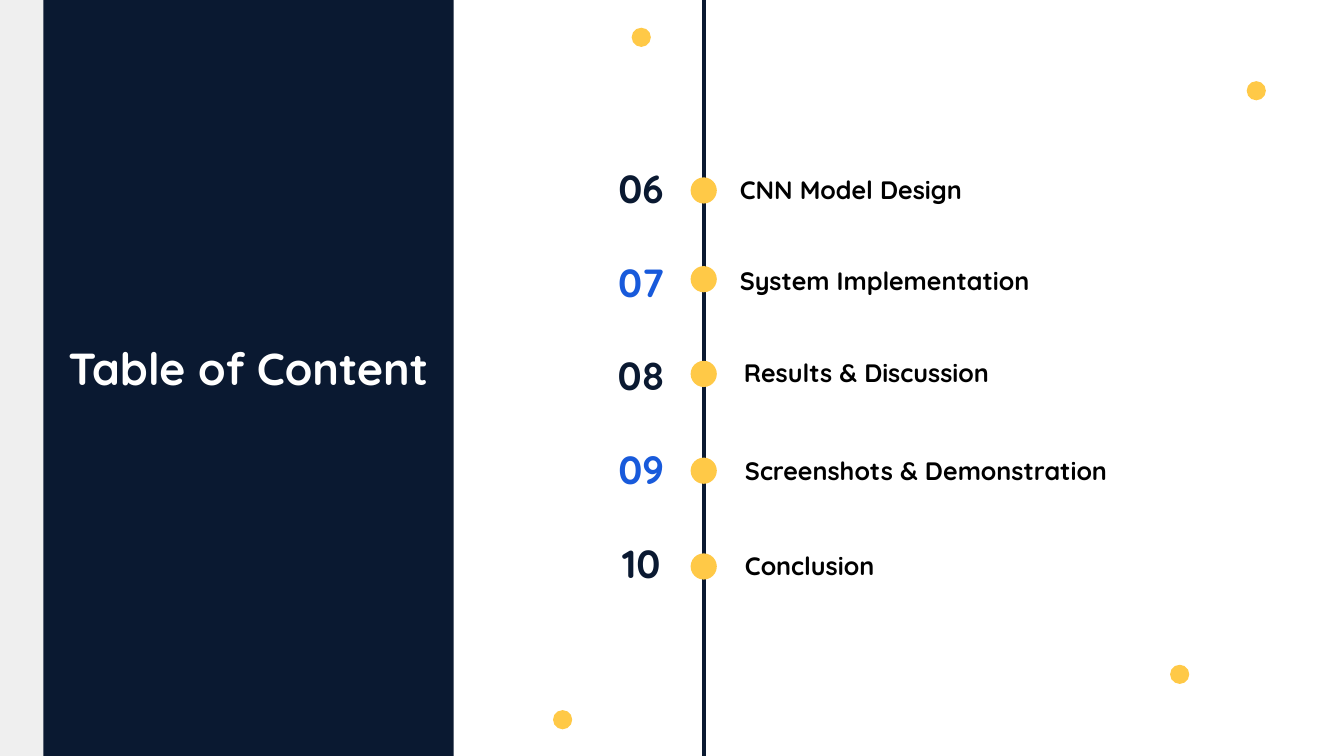
import pptx
import pptx.util
import pptx.dml.color
import pptx.enum.shapes
import pptx.enum.text
import pptx.oxml.ns
import lxml.etree

Inches = pptx.util.Inches
ALIGN = pptx.enum.text.PP_ALIGN
NAVY, BLUE, YELLOW = "0A1931", "185ADB", "FFC947"
GRAY, WHITE, BLACK = "EFEFEF", "FFFFFF", "000000"
LINE_X = 6.98
FIRST_NUMBER_TOP, NUMBER_PITCH = 1.58, 0.93

ENTRIES = [
    ("CNN Model Design", 1.89, 7.24, 1.68, 3.47),
    ("System Implementation", 2.77, 7.24, 2.58, 3.47),
    ("Results & Discussion", 3.71, 7.28, 3.5, 3.47),
    ("Screenshots & Demonstration", 4.67, 7.29, 4.47, 4.69),
    ("Conclusion", 5.62, 7.29, 5.41, 4.82),
]
SMALL_DOTS = [(5.58, 7.14), (11.7, 6.69), (12.46, 0.9), (6.36, 0.37)]


def rgb(color):
    return pptx.dml.color.RGBColor.from_string(color)


def add_filled(s, kind, x, y, w, h, color):
    sp = s.shapes.add_shape(kind, Inches(x), Inches(y), Inches(w), Inches(h))
    sp.shadow.inherit = False
    sp.fill.solid()
    sp.fill.fore_color.rgb = rgb(color)
    sp.line.fill.background()


def add_panel(s, width, color):
    add_filled(s, pptx.enum.shapes.MSO_SHAPE.RECTANGLE, 0, 0, width, 7.5, color)


def add_dot(s, cx, cy, size):
    add_filled(s, pptx.enum.shapes.MSO_SHAPE.OVAL,
               cx - size / 2, cy - size / 2, size, size, YELLOW)


def add_timeline(s):
    line = s.shapes.add_connector(
        pptx.enum.shapes.MSO_CONNECTOR.STRAIGHT,
        Inches(LINE_X), Inches(0), Inches(LINE_X), Inches(7.5))
    line.line.color.rgb = rgb(NAVY)
    line.line.width = pptx.util.Pt(3)
    lxml.etree.SubElement(line.element.spPr, pptx.oxml.ns.qn("a:effectLst"))


def set_text(sp, text, size, color, align, wrap=True):
    tf = sp.text_frame
    tf.text = text
    tf.word_wrap = wrap
    tf.auto_size = pptx.enum.text.MSO_AUTO_SIZE.SHAPE_TO_FIT_TEXT
    tf.vertical_anchor = pptx.enum.text.MSO_ANCHOR.TOP
    p = tf.paragraphs[0]
    p.alignment = align
    p.font.name = "Quicksand"
    p.font.size = pptx.util.Pt(size)
    p.font.bold = True
    p.font.color.rgb = rgb(color)


def add_text(s, text, x, y, w, h, size, color, align):
    sp = s.shapes.add_textbox(Inches(x), Inches(y), Inches(w), Inches(h))
    set_text(sp, text, size, color, align)


def place_title(s, text):
    title = s.shapes.title
    title.left, title.top = Inches(0.52), Inches(3.33)
    title.width, title.height = Inches(3.89), Inches(0.64)
    set_text(title, text, 32, WHITE, ALIGN.CENTER, wrap=False)
    title.element.getparent().append(title.element)


def main():
    prs = pptx.Presentation()
    prs.slide_width, prs.slide_height = Inches(13.33), Inches(7.5)
    s = prs.slides.add_slide(prs.slide_layouts[5])
    s.background.fill.solid()
    s.background.fill.fore_color.rgb = rgb(WHITE)

    add_timeline(s)
    add_panel(s, 4.5, NAVY)
    add_panel(s, 0.43, GRAY)
    place_title(s, "Table of Content")
    for cx, cy in SMALL_DOTS:
        add_dot(s, cx, cy, 0.19)
    for i, (label, dot_y, x, y, w) in enumerate(ENTRIES):
        add_dot(s, LINE_X, dot_y, 0.26)
        add_text(s, f"{i + 6:02d}", 6.01, FIRST_NUMBER_TOP + i * NUMBER_PITCH,
                 0.7, 0.57, 28, BLUE if i % 2 else NAVY, ALIGN.CENTER)
        add_text(s, label, x, y, w, 0.4, 18, BLACK, ALIGN.LEFT)

    prs.save("out.pptx")


if __name__ == "__main__":
    main()
